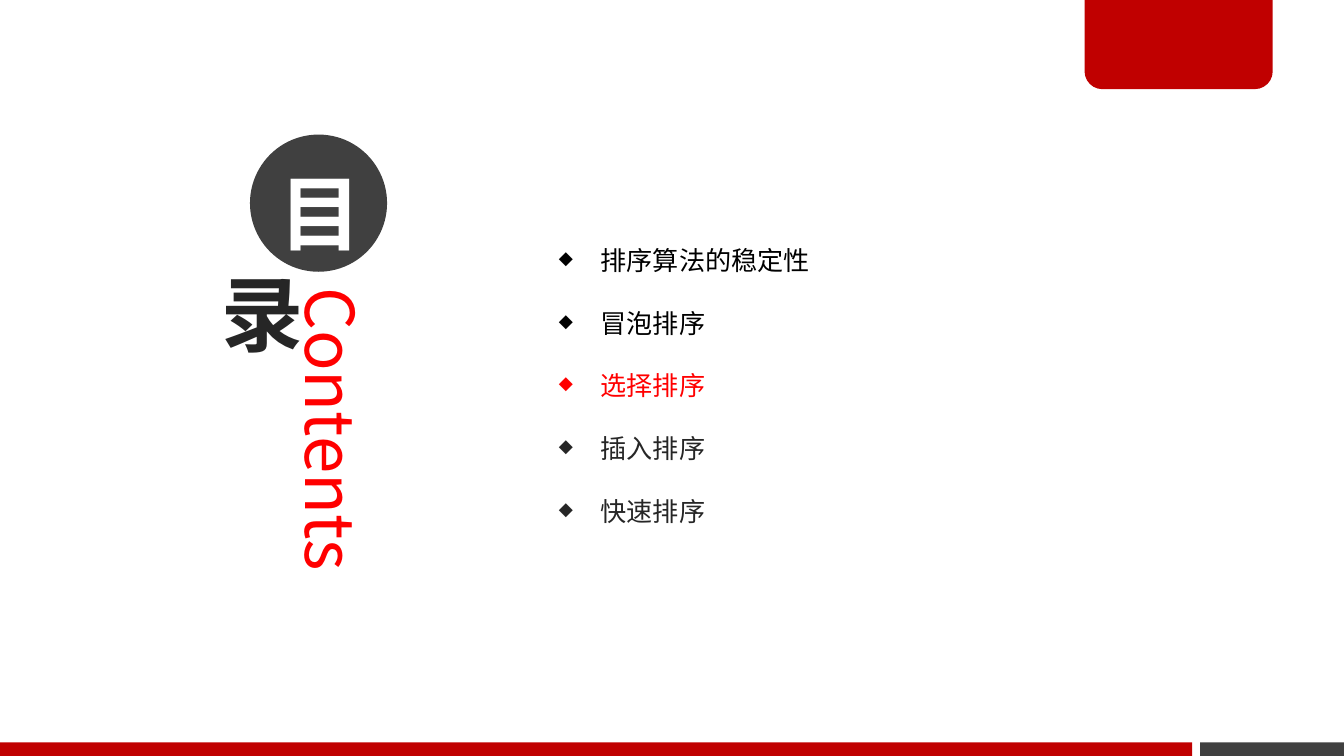
"""Build the contents slide of a talk on sorting algorithms."""
from dataclasses import dataclass

from lxml import etree
from pptx import Presentation
from pptx.dml.color import RGBColor
from pptx.enum.shapes import MSO_SHAPE
from pptx.enum.text import MSO_ANCHOR, PP_ALIGN
from pptx.oxml.ns import qn
from pptx.util import Inches, Pt

RECT = MSO_SHAPE.RECTANGLE
OVAL = MSO_SHAPE.OVAL
TAB = MSO_SHAPE.ROUND_2_SAME_RECTANGLE
MID, TOP = MSO_ANCHOR.MIDDLE, MSO_ANCHOR.TOP
LEFT, CENTER = PP_ALIGN.LEFT, PP_ALIGN.CENTER

WIDE = 10
HIGH = WIDE * 9 / 16
FONT = "Noto Sans CJK SC"
RED, BRIGHT, GRAY, INK = "C00000", "FF0000", "404040", "262626"
WHITE, BLACK = "FFFFFF", "000000"


@dataclass
class Box:
    """A place on the slide, in shares of its width and height."""
    x: float
    y: float
    w: float
    h: float

    def spots(self) -> tuple:
        """Return left, top, width and height as lengths."""
        return (Inches(self.x * WIDE), Inches(self.y * HIGH),
                Inches(self.w * WIDE), Inches(self.h * HIGH))


@dataclass
class Disc:
    """A round shape that holds one large character."""
    box: Box
    text: str
    ink: str
    fill: str | None = None
    foot: float = 0.04
    lead: int | None = None


@dataclass
class Topic:
    """One line of the contents list."""
    text: str
    ink: str


BARS = [(Box(0, 0.982, 0.887, 0.018), RED),
        (Box(0.893, 0.982, 0.107, 0.018), GRAY)]
FLAG = Box(0.807, 0, 0.14, 0.118)
HEAD = Box(0.214, 0.373, 0.07, 0.514)
LIST = Box(0.406, 0.273, 0.472, 0.425)
DISCS = [Disc(Box(0.186, 0.178, 0.102, 0.1815), "目", WHITE, GRAY, 0.15, 70),
         Disc(Box(0.146, 0.342, 0.08, 0.1423), "录", INK)]
TOPICS = [Topic("排序算法的稳定性", BLACK), Topic("冒泡排序", BLACK),
          Topic("选择排序", BRIGHT), Topic("插入排序", INK),
          Topic("快速排序", INK)]


def color(value: str) -> RGBColor:
    """Turn a hex string into a colour."""
    return RGBColor.from_string(value)


def add_run(para, text: str, size: int, ink: str, bold: bool = False) -> None:
    """Add one run in the slide's font."""
    run = para.add_run()
    run.text = text
    run.font.size, run.font.bold = Pt(size), bold
    run.font.color.rgb = color(ink)
    run.font.name = FONT
    east = etree.SubElement(run.font._element, qn("a:ea"))
    east.set("typeface", FONT)


def pad(frame, foot: float = 0.04) -> None:
    """Set narrow margins round the text."""
    frame.margin_left = frame.margin_right = Inches(0.07)
    frame.margin_top, frame.margin_bottom = Inches(0.04), Inches(foot)


def add_form(slide, kind, box: Box, fill: str | None):
    """Draw a flat shape without outline."""
    form = slide.shapes.add_shape(kind, *box.spots())
    form.shadow.inherit = False
    form.line.fill.background()
    if fill:
        form.fill.solid()
        form.fill.fore_color.rgb = color(fill)
    else:
        form.fill.background()
    return form


def add_disc(slide, disc: Disc) -> None:
    """Draw a disc and its character."""
    frame = add_form(slide, OVAL, disc.box, disc.fill).text_frame
    pad(frame, disc.foot)
    frame.vertical_anchor = MID
    para = frame.paragraphs[0]
    para.alignment = CENTER
    if disc.lead:
        para.line_spacing = Pt(disc.lead)
    add_run(para, disc.text, 44, disc.ink, True)


def set_head(slide) -> None:
    """Place the title as vertical text."""
    title = slide.shapes.title
    title.left, title.top, title.width, title.height = HEAD.spots()
    frame = title.text_frame
    pad(frame)
    frame.word_wrap = True
    frame.vertical_anchor = TOP
    frame._txBody.bodyPr.set("vert", "eaVert")
    frame.paragraphs[0].alignment = LEFT
    add_run(frame.paragraphs[0], "Contents", 36, BRIGHT)


def add_list(slide) -> None:
    """Add the list of topics with diamond bullets."""
    frame = slide.shapes.add_textbox(*LIST.spots()).text_frame
    frame.word_wrap = True
    for num, topic in enumerate(TOPICS):
        para = frame.add_paragraph() if num else frame.paragraphs[0]
        para.line_spacing = 2.0
        props = para._p.get_or_add_pPr()
        props.set("marL", str(Inches(0.31)))
        props.set("indent", str(-Inches(0.31)))
        etree.SubElement(props, qn("a:buSzPct")).set("val", "70000")
        etree.SubElement(props, qn("a:buChar")).set("char", "◆")
        add_run(para, topic.text, 14, topic.ink)


def main() -> None:
    """Build and save the slide."""
    deck = Presentation()
    deck.slide_width, deck.slide_height = Inches(WIDE), Inches(HIGH)
    slide = deck.slides.add_slide(deck.slide_layouts[5])
    for box, fill in BARS:
        add_form(slide, RECT, box, fill)
    flag = add_form(slide, TAB, FLAG, RED)
    flag.adjustments[0], flag.adjustments[1] = 0, 0.2
    set_head(slide)
    for disc in DISCS:
        add_disc(slide, disc)
    add_list(slide)
    deck.save("out.pptx")


if __name__ == "__main__":
    main()
